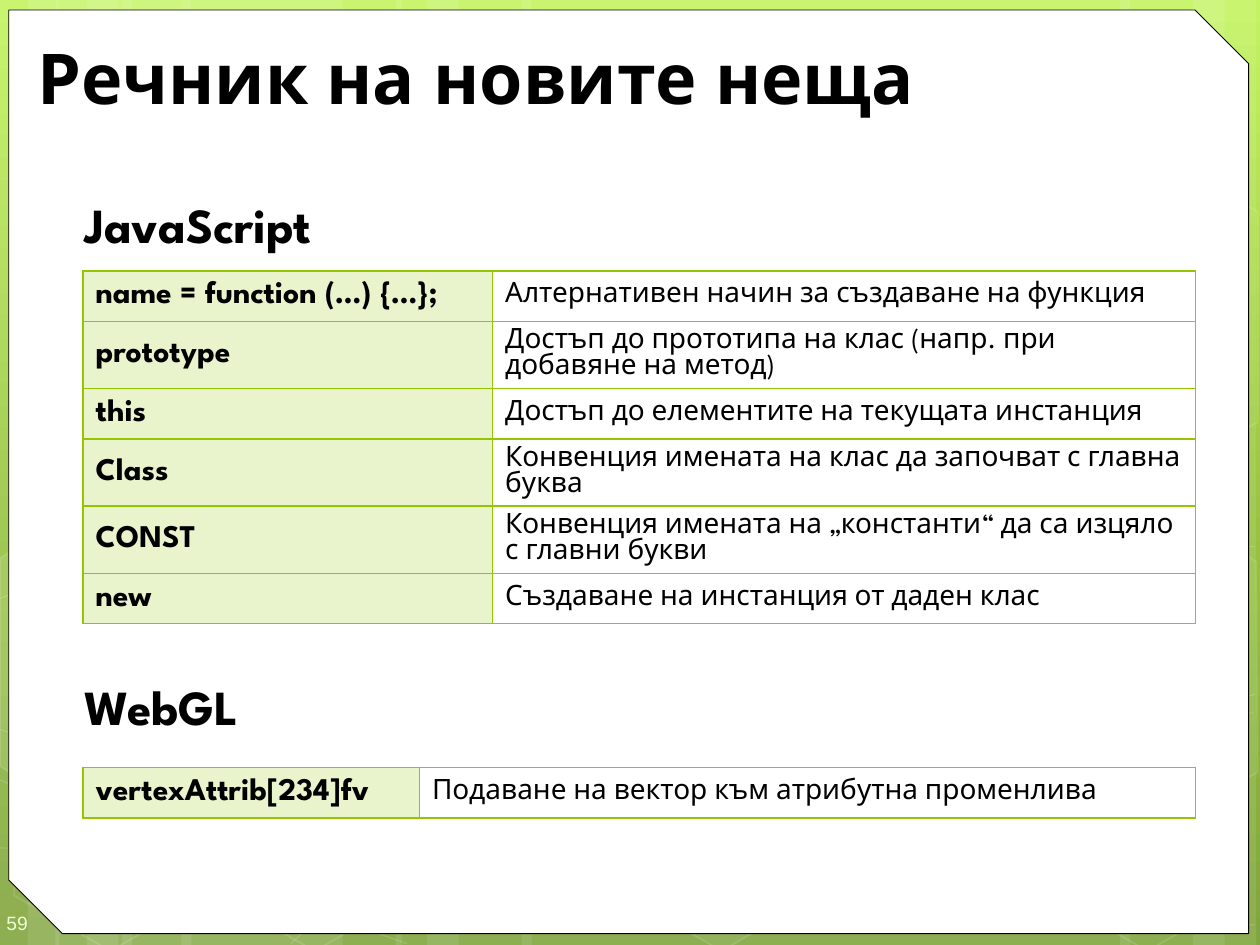
from copy import deepcopy

from pptx import Presentation
from pptx.dml.color import RGBColor
from pptx.enum.shapes import MSO_SHAPE
from pptx.enum.text import MSO_ANCHOR
from pptx.oxml import parse_xml
from pptx.oxml.ns import nsdecls, qn
from pptx.util import Inches, Pt

RECT, HEX, SNIP = MSO_SHAPE.RECTANGLE, MSO_SHAPE.HEXAGON, MSO_SHAPE.SNIP_2_DIAG_RECTANGLE
MIDDLE = MSO_ANCHOR.MIDDLE
WHITE, BLACK = RGBColor(255, 255, 255), RGBColor(0, 0, 0)
GREEN = RGBColor(0x94, 0xC6, 0x00)
PALE = RGBColor(0xEE, 0xFF, 0xD6)
SKY = [(0, RGBColor(0xC3, 0xF3, 0x5F)), (0.62, RGBColor(0x93, 0xBF, 0x3F)),
       (1, RGBColor(0x81, 0xA5, 0x3E))]
FONT = "League Spartan"

# Left and width of each light band
BANDS = [(0.97, 1.75), (0, 0.47), (0.22, 0.83), (1.44, 1.75), (0.44, 0.5), (0.69, 0.83),
         (7.22, 1.75), (9.47, 0.5), (8.89, 0.83), (4.14, 3.08), (3.14, 0.5), (3.39, 0.83)]
# Points along the thin waves
WAVES = [
    [(0, 6.73), (1.79, 6.78), (4.47, 6.65), (7.8, 6.17), (9.96, 5.51)],
    [(0, 4.75), (1.1, 4.31), (3.36, 3.87), (6.43, 3.87), (9.96, 4.34)],
    [(0, 6.19), (1.7, 6.94), (3.23, 7.49)],
    [(0, 5.79), (1.17, 6.16), (3.45, 6.73), (6.17, 7.18), (8.41, 7.36), (9.96, 7.34)],
    [(2.31, 7.49), (2.91, 6.91), (3.76, 6.39), (4.58, 6.09), (5.97, 5.78), (7.83, 5.62),
     (9.41, 5.62), (9.95, 5.66)]]
# Left and fill opacity of the hexagons along the bottom edge
CELLS = [(0, 0), (1.62, 0), (4.85, 6), (8.23, 0)]
# Corners and fill opacity of the cut hexagons at the sides
CUTS = [([(0, 4.43), (0.08, 4.38), (0.85, 4.82), (0.84, 5.7), (0.09, 6.14), (0, 6.08)], 10),
        ([(9.15, 4.85), (9.9, 4.41), (9.97, 4.46), (9.98, 6.13), (9.91, 6.17), (9.14, 5.73)], 4),
        ([(9.15, 2.07), (9.9, 1.63), (9.98, 1.68), (9.98, 3.35), (9.91, 3.39), (9.14, 2.95)], 0)]

# Row height, term and meaning
LOW, HIGH = 0.4, 0.51
SCRIPT = [
    (LOW, "name = function (…) {…};", "Алтернативен начин за създаване на функция"),
    (HIGH, "prototype", "Достъп до прототипа на клас (напр. при добавяне на метод)"),
    (LOW, "this", "Достъп до елементите на текущата инстанция"),
    (HIGH, "Class", "Конвенция имената на клас да започват с главна буква"),
    (HIGH, "CONST", "Конвенция имената на „константи“ да са изцяло с главни букви"),
    (LOW, "new", "Създаване на инстанция от даден клас"),
]
WEBGL = [(LOW, "vertexAttrib[234]fv", "Подаване на вектор към атрибутна променлива")]


def fade(fill, pct):
    """Make the colour of a solid fill see-through."""
    fill.find(qn("a:srgbClr")).append(
        parse_xml(f'<a:alpha {nsdecls("a")} val="{pct * 1000}"/>'))


def tint(shape, pct, edge=0, weight=1):
    """White see-through fill and line; zero means none."""
    shape.shadow.inherit = False
    props = shape._element.spPr
    if pct:
        shape.fill.solid()
        shape.fill.fore_color.rgb = WHITE
        fade(props.find(qn("a:solidFill")), pct)
    else:
        shape.fill.background()
    if edge:
        shape.line.color.rgb = WHITE
        shape.line.width = Pt(weight)
        fade(props.find(qn("a:ln")).find(qn("a:solidFill")), edge)
    else:
        shape.line.fill.background()


def outline(slide, points, close):
    start, *rest = [(Inches(x), Inches(y)) for x, y in points]
    path = slide.shapes.build_freeform(*start)
    path.add_line_segments(rest, close=close)
    return path.convert_to_shape()


def style(frame, size, bold=True, color=BLACK, font=FONT):
    for run in frame.paragraphs[0].runs:
        run.font.size, run.font.bold, run.font.name = Pt(size), bold, font
        run.font.color.rgb = color


def label(slide, text, left, top, width, height, size, **look):
    box = slide.shapes.add_textbox(Inches(left), Inches(top), Inches(width), Inches(height))
    frame = box.text_frame
    frame.word_wrap = True
    frame.vertical_anchor = MIDDLE
    frame.text = text
    style(frame, size, **look)
    return frame


def backdrop(slide, width, height):
    # Gradient from top to bottom
    fill = slide.background.fill
    fill.gradient()
    first = next(slide._element.iter(qn("a:gs")))
    first.addnext(deepcopy(first))
    fill.gradient_angle = 270
    for stop, (place, color) in zip(fill.gradient_stops, SKY):
        stop.position, stop.color.rgb = place, color

    # Light bands, waves and hexagons
    for left, wide in BANDS:
        tint(slide.shapes.add_shape(RECT, Inches(left), 0, Inches(wide), height), 10)
    for points in WAVES:
        tint(outline(slide, points, False), 0, 20, 0.5)
    for left, pct in CELLS:
        cell = slide.shapes.add_shape(HEX, Inches(left), height - Inches(1.59),
                                      Inches(1.75), Inches(1.52))
        cell.adjustments[0] = 0.285
        cell.rotation = 30
        tint(cell, pct, 12)
    for points, pct in CUTS:
        tint(outline(slide, points, True), pct, 12)

    # White page with two cut corners
    page = slide.shapes.add_shape(SNIP, Inches(0.07), Inches(0.08),
                                  width - Inches(0.16), height - Inches(0.17))
    page.adjustments[0], page.adjustments[1] = 0, 0.058
    page.shadow.inherit = False
    page.fill.solid()
    page.fill.fore_color.rgb = WHITE
    page.line.color.rgb = BLACK
    page.line.width = Pt(0.5)


def paint(cell, shade):
    """Green borders, and a pale green fill for a term."""
    props = cell._tc.get_or_add_tcPr()
    if shade:
        cell.fill.solid()
        cell.fill.fore_color.rgb = GREEN
        fade(props.find(qn("a:solidFill")), 20)
    else:
        cell.fill.background()
    for spot, side in enumerate("LRTB"):
        props.insert(spot, parse_xml(
            f'<a:ln{side} {nsdecls("a")} w="12700"><a:solidFill>'
            f'<a:srgbClr val="{GREEN}"/></a:solidFill></a:ln{side}>'))


def section(slide, title, rows, left, top, width, gap, split):
    """Heading with a glossary table; gap is from heading to table."""
    label(slide, title, left - 0.09, top, width, 0.46, 28)
    total = sum(row[0] for row in rows)
    grid = slide.shapes.add_table(len(rows), 2, Inches(left), Inches(top + gap),
                                  Inches(width), Inches(total)).table
    grid.first_row = grid.horz_banding = False
    for col, wide in zip(grid.columns, (split, width - split)):
        col.width = Inches(wide)
    for r, (high, *pair) in enumerate(rows):
        grid.rows[r].height = Inches(high)
        for c, text in enumerate(pair):
            cell = grid.cell(r, c)
            term = c == 0
            cell.text_frame.text = text
            cell.vertical_anchor = MIDDLE
            cell.margin_top = cell.margin_bottom = 0
            style(cell.text_frame, 18 if term else 16, bold=term)
            paint(cell, term)


def main():
    deck = Presentation()
    deck.slide_width, deck.slide_height = Inches(10), Inches(7.5)
    slide = deck.slides.add_slide(deck.slide_layouts[6])
    backdrop(slide, deck.slide_width, deck.slide_height)

    # Page number
    frame = label(slide, "59", 0, 7.1, 0.58, 0.4, 11, bold=False, color=PALE, font="Arial")
    frame.margin_left, frame.margin_right = Inches(0.05), 0
    frame.margin_top, frame.margin_bottom = Inches(0.15), Inches(0.1)

    # Title and glossary
    label(slide, "Речник на новите неща", 0.2, 0.25, 9.47, 0.71, 40)
    section(slide, "JavaScript", SCRIPT, 0.66, 1.55, 8.83, 0.6, 3.25)
    section(slide, "WebGL", WEBGL, 0.66, 5.37, 8.83, 0.72, 2.67)
    deck.save("out.pptx")


if __name__ == "__main__":
    main()
